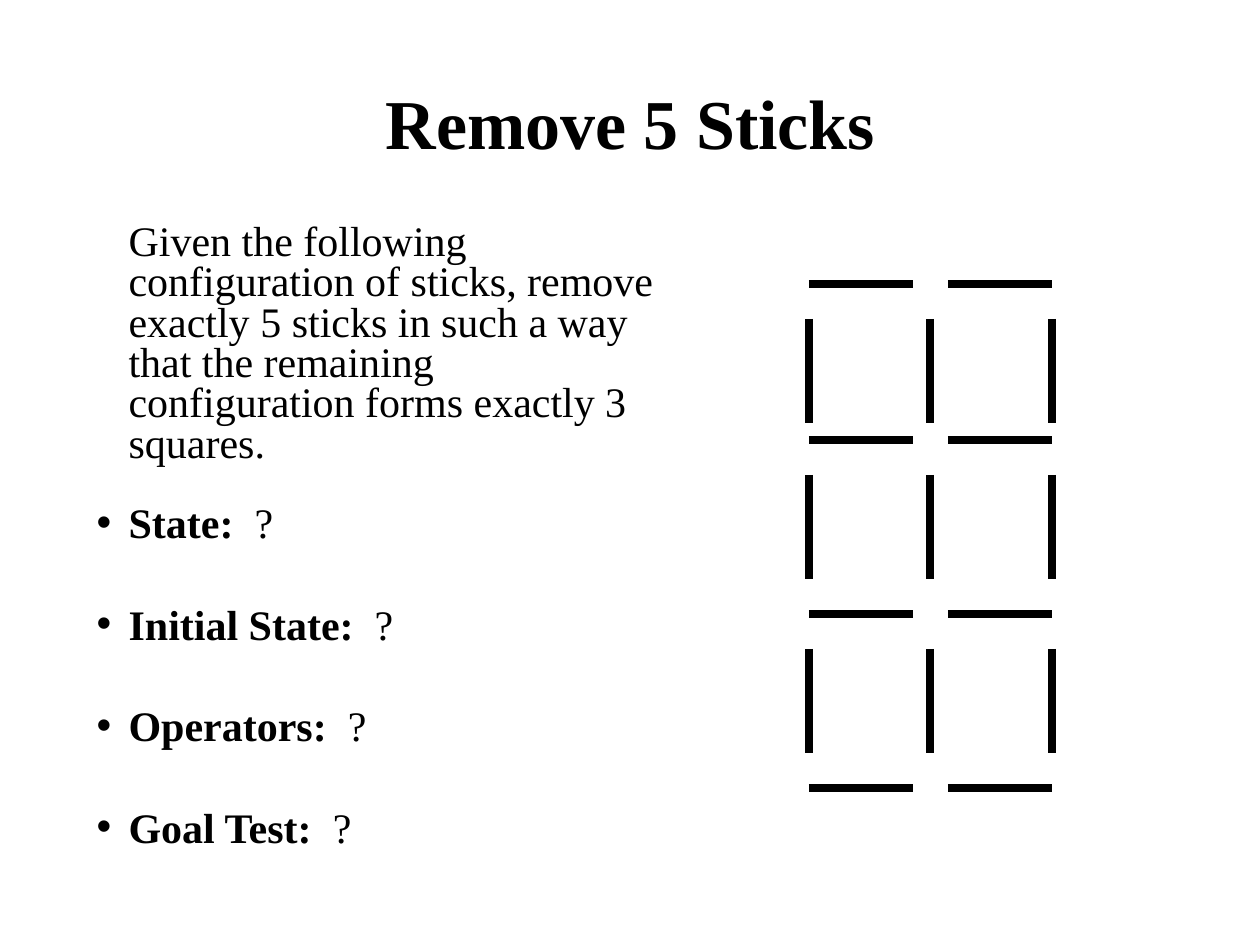
from lxml import etree
from pptx import Presentation
from pptx.dml.color import RGBColor
from pptx.enum.shapes import MSO_CONNECTOR
from pptx.enum.text import MSO_ANCHOR, MSO_AUTO_SIZE, PP_ALIGN
from pptx.oxml.ns import qn
from pptx.util import Emu, Pt

STRAIGHT = MSO_CONNECTOR.STRAIGHT
MIDDLE, TOP = MSO_ANCHOR.MIDDLE, MSO_ANCHOR.TOP
CENTER, LEFT = PP_ALIGN.CENTER, PP_ALIGN.LEFT
NO_AUTOFIT = MSO_AUTO_SIZE.NONE

PX_PER_INCH = 126
COLORS = {"ink": "000000", "paper": "FFFFFF"}
FONT = "Times New Roman"

PUZZLE = ("Given the following configuration of sticks, remove exactly 5 sticks "
          "in such a way that the remaining configuration forms exactly 3 squares.")
QUESTIONS = ["State:", "Initial State:", "Operators:", "Goal Test:"]

STICK_LENGTH = 104
ROW_TOPS = [284, 440, 614, 788]
COLUMN_LEFTS = [809, 948]
UPRIGHT_LEFTS = [809, 930, 1052]
UPRIGHT_DROP = 35


def px(length):
    return Emu(round(length * 914400 / PX_PER_INCH))


def color(name):
    return RGBColor.from_string(COLORS[name])


def add_text(paragraph, text, *, size=24, bold=False):
    run = paragraph.add_run()
    run.text = text
    run.font.name = FONT
    run.font.size = Pt(size)
    run.font.bold = bold
    run.font.color.rgb = color("ink")


def set_bullet(paragraph, *, char=None, indent=0, hanging=0):
    properties = paragraph._p.get_or_add_pPr()
    properties.set("marL", str(px(indent)))
    properties.set("indent", str(-px(hanging)))
    if char:
        etree.SubElement(properties, qn("a:buChar")).set("char", char)
    else:
        etree.SubElement(properties, qn("a:buNone"))


class SlideBuilder:
    """Holds the slide being built and the style of its elements."""

    def __init__(self, presentation):
        self.slide = presentation.slides.add_slide(presentation.slide_layouts[1])
        self.slide.background.fill.solid()
        self.slide.background.fill.fore_color.rgb = color("paper")
        self.stick_width = Pt(4.5)
        self.line_spacing = 0.8

    def place(self, shape, left, top, width, height, anchor):
        shape.left, shape.top = px(left), px(top)
        shape.width, shape.height = px(width), px(height)
        frame = shape.text_frame
        frame.word_wrap = True
        frame.auto_size = NO_AUTOFIT
        frame.vertical_anchor = anchor
        return frame

    def title(self, text):
        frame = self.place(self.slide.shapes.title, 95, 42, 1071, 158, MIDDLE)
        paragraph = frame.paragraphs[0]
        paragraph.alignment = CENTER
        add_text(paragraph, text, size=40, bold=True)

    def body(self, introduction, questions):
        frame = self.place(self.slide.placeholders[1], 84, 218, 599, 693, TOP)
        paragraph = frame.paragraphs[0]
        self.space(paragraph, 0)
        set_bullet(paragraph, indent=32)
        add_text(paragraph, introduction)
        for index, question in enumerate(questions):
            paragraph = frame.add_paragraph()
            self.space(paragraph, 35 if index else 23)
            set_bullet(paragraph, char="•", indent=32, hanging=32)
            add_text(paragraph, f"{question}  ", bold=True)
            add_text(paragraph, "?")

    def space(self, paragraph, before):
        paragraph.alignment = LEFT
        paragraph.line_spacing = self.line_spacing
        paragraph.space_before = Pt(before)

    def stick(self, left, top, *, width=0, height=0):
        line = self.slide.shapes.add_connector(
            STRAIGHT, px(left), px(top), px(left + width), px(top + height))
        line.line.color.rgb = color("ink")
        line.line.width = self.stick_width
        etree.SubElement(line._element.spPr, qn("a:effectLst"))

    def stick_grid(self):
        for top in ROW_TOPS:
            for left in COLUMN_LEFTS:
                self.stick(left, top, width=STICK_LENGTH)
        for top in ROW_TOPS[:-1]:
            for left in UPRIGHT_LEFTS:
                self.stick(left, top + UPRIGHT_DROP, height=STICK_LENGTH)


def main():
    presentation = Presentation()
    presentation.slide_width = px(10 * PX_PER_INCH)
    presentation.slide_height = px(7.5 * PX_PER_INCH)
    builder = SlideBuilder(presentation)
    builder.title("Remove 5 Sticks")
    builder.body(PUZZLE, QUESTIONS)
    builder.stick_grid()
    presentation.save("out.pptx")


if __name__ == "__main__":
    main()
